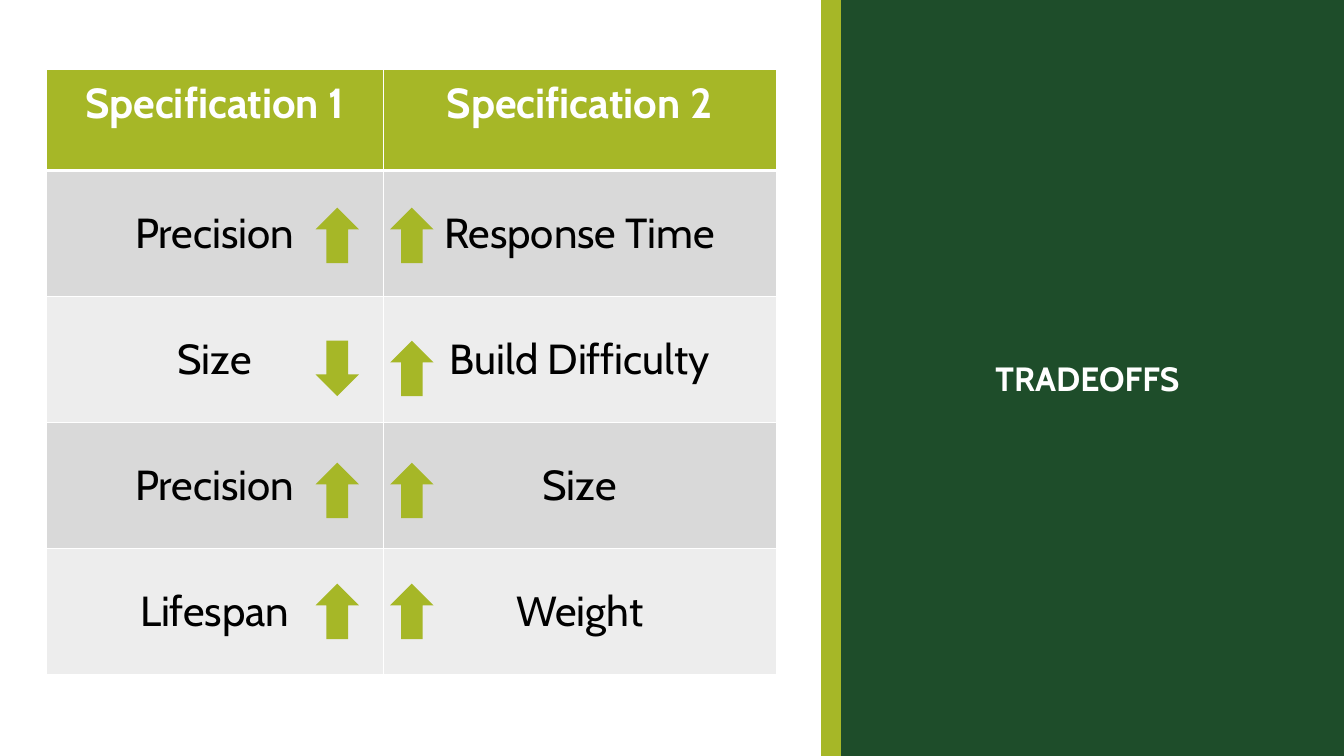
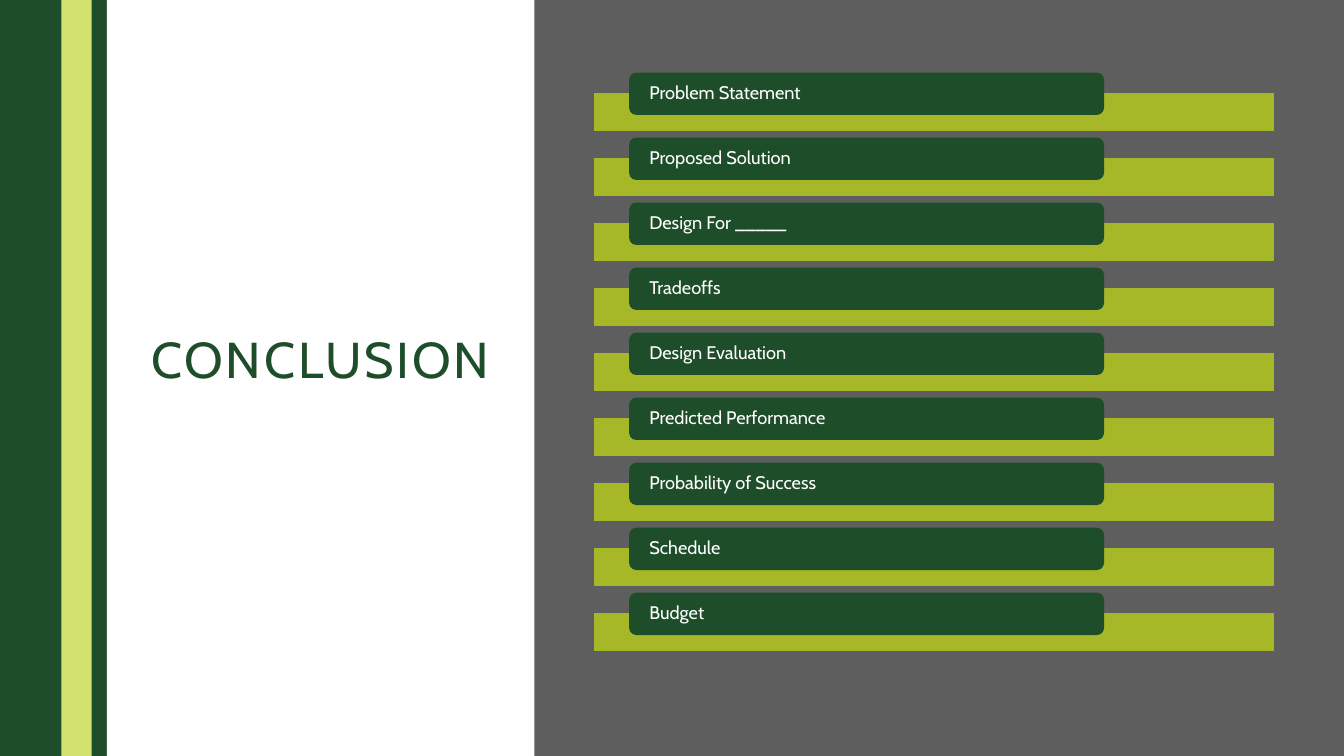
"""Build the tradeoffs table slide and the conclusion agenda slide."""
from dataclasses import dataclass

from lxml import etree
from pptx import Presentation
from pptx.dml.color import RGBColor
from pptx.enum import shapes, text
from pptx.oxml import ns
from pptx.util import Inches, Pt


@dataclass(frozen=True)
class Theme:
    font: str = "Cabin"
    forest: str = "1E4D2A"
    olive: str = "A6B727"
    lime: str = "D3E171"
    white: str = "FFFFFF"
    black: str = "000000"
    slate: str = "5E5E5E"
    stripes: tuple = ("D9D9D9", "EDEDED")
    conclusion_size: int = 36
    table_size: int = 30
    panel_size: int = 24
    topic_size: int = 13


THEME = Theme()
SHAPE = shapes.MSO_SHAPE
LEFT, CENTER = text.PP_ALIGN.LEFT, text.PP_ALIGN.CENTER
TOP, MIDDLE = text.MSO_ANCHOR.TOP, text.MSO_ANCHOR.MIDDLE
WIDTH, HEIGHT = 13.33, 7.5

HEADERS = ("Specification 1", "Specification 2")
TRADEOFFS = [
    ("Precision", SHAPE.UP_ARROW, "Response Time", SHAPE.UP_ARROW, 2.06),
    ("Size", SHAPE.DOWN_ARROW, "Build Difficulty", SHAPE.UP_ARROW, 3.38),
    ("Precision", SHAPE.UP_ARROW, "Size", SHAPE.UP_ARROW, 4.59),
    ("Lifespan", SHAPE.UP_ARROW, "Weight", SHAPE.UP_ARROW, 5.79),
]
COLUMN_WIDTHS = (3.34, 3.9)
HEADER_HEIGHT, ROW_HEIGHT = 1, 1.25
ARROW_LEFTS = (3.13, 3.87)

TOPICS = [
    "Problem Statement",
    "Proposed Solution",
    "Design For _____",
    "Tradeoffs",
    "Design Evaluation",
    "Predicted Performance",
    "Probability of Success",
    "Schedule",
    "Budget",
]
FIRST_TOPIC, LAST_TOPIC = 0.72, 5.88
BAR_DROP = 0.21


def color(code):
    return RGBColor.from_string(code)


def paint(target, code):
    target.fill.solid()
    target.fill.fore_color.rgb = color(code)


def write(frame, words, size, code, bold=False, align=CENTER):
    frame.text = words
    para = frame.paragraphs[0]
    para.alignment = align
    para.font.name = THEME.font
    para.font.size = Pt(size)
    para.font.bold = bold
    para.font.color.rgb = color(code)
    return para


def add_block(page, kind, left, top, width, height, fill, line=0):
    block = page.shapes.add_shape(
        kind, Inches(left), Inches(top), Inches(width), Inches(height))
    block.shadow.inherit = False
    paint(block, fill)
    if line:
        block.line.color.rgb = color(fill)
        block.line.width = Pt(line)
    else:
        block.line.fill.background()
    return block


def add_page(deck, background):
    page = deck.slides.add_slide(deck.slide_layouts[5])
    paint(page.background, background)
    return page


def place_title(page, words, left, top, width, height, size, code, bold=False):
    title = page.shapes.title
    title.left, title.top = Inches(left), Inches(top)
    title.width, title.height = Inches(width), Inches(height)
    frame = title.text_frame
    frame.word_wrap = True
    frame.auto_size = text.MSO_AUTO_SIZE.NONE
    frame.vertical_anchor = MIDDLE
    write(frame, words, size, code, bold)
    page.shapes._spTree.append(title._element)
    return title


def add_borders(cell, **widths):
    properties = cell._tc.get_or_add_tcPr()
    for side in "LRTB":
        line = etree.SubElement(properties, ns.qn(f"a:ln{side}"),
                                w=str(Pt(widths.get(side, 1))))
        fill = etree.SubElement(line, ns.qn("a:solidFill"))
        etree.SubElement(fill, ns.qn("a:srgbClr"), val=THEME.white)


def fill_cell(cell, words, fill, code, bold, anchor):
    cell.margin_left = cell.margin_right = Inches(0.16)
    cell.margin_top = cell.margin_bottom = Inches(0.08)
    cell.vertical_anchor = anchor
    write(cell.text_frame, words, THEME.table_size, code, bold)
    paint(cell, fill)


def add_tradeoff_table(page):
    heights = [HEADER_HEIGHT] + [ROW_HEIGHT] * len(TRADEOFFS)
    table = page.shapes.add_table(
        len(heights), len(COLUMN_WIDTHS), Inches(0.46), Inches(0.69),
        Inches(sum(COLUMN_WIDTHS)), Inches(sum(heights))).table
    for column, width in zip(table.columns, COLUMN_WIDTHS):
        column.width = Inches(width)
    for row, height in zip(table.rows, heights):
        row.height = Inches(height)
    for index, words in enumerate(HEADERS):
        cell = table.cell(0, index)
        add_borders(cell, B=3)
        fill_cell(cell, words, THEME.olive, THEME.white, True, TOP)
    for number, (first, _, second, _, _) in enumerate(TRADEOFFS):
        stripe = THEME.stripes[number % 2]
        for index, words in enumerate((first, second)):
            cell = table.cell(number + 1, index)
            add_borders(cell, T=1 if number else 3)
            fill_cell(cell, words, stripe, THEME.black, False, MIDDLE)


def build_tradeoffs(deck):
    page = add_page(deck, THEME.white)
    add_tradeoff_table(page)
    panel = place_title(page, "TRADEOFFS", 8.24, 0, WIDTH - 8.24, HEIGHT,
                        THEME.panel_size, THEME.white, bold=True)
    paint(panel, THEME.forest)
    add_block(page, SHAPE.RECTANGLE, 8.15, 0, 0.18, HEIGHT, THEME.olive, line=1)
    for _, first, _, second, top in TRADEOFFS:
        for left, arrow in zip(ARROW_LEFTS, (first, second)):
            add_block(page, arrow, left, top, 0.43, 0.55, THEME.olive)


def build_conclusion(deck):
    page = add_page(deck, THEME.slate)
    for left, width, fill in ((0, 1.06, THEME.forest), (1.06, 4.24, THEME.white),
                              (0.61, 0.3, THEME.lime)):
        add_block(page, SHAPE.RECTANGLE, left, 0, width, HEIGHT, fill)
    title = place_title(page, "CONCLUSION", 1.06, 2.77, 4.24, 1.64,
                        THEME.conclusion_size, THEME.forest)
    frame = title.text_frame
    frame.margin_left = frame.margin_right = Inches(0.2)
    frame.margin_top = frame.margin_bottom = Inches(0.2)
    para = frame.paragraphs[0]
    para.line_spacing = 0.9
    para.runs[0].font._element.set("spc", "200")

    pitch = (LAST_TOPIC - FIRST_TOPIC) / (len(TOPICS) - 1)
    for index, words in enumerate(TOPICS):
        top = FIRST_TOPIC + index * pitch
        add_block(page, SHAPE.RECTANGLE, 5.9, top + BAR_DROP, 6.73, 0.36,
                  THEME.olive, line=0.5)
        pill = add_block(page, SHAPE.ROUNDED_RECTANGLE, 6.24, top, 4.71, 0.42,
                         THEME.forest)
        frame = pill.text_frame
        frame.word_wrap = True
        frame.vertical_anchor = MIDDLE
        frame.margin_left = frame.margin_right = Inches(0.18)
        frame.margin_top = frame.margin_bottom = 0
        para = write(frame, words, THEME.topic_size, THEME.white, align=LEFT)
        para.line_spacing = 0.9


def main():
    deck = Presentation()
    deck.slide_width, deck.slide_height = Inches(WIDTH), Inches(HEIGHT)
    build_tradeoffs(deck)
    build_conclusion(deck)
    deck.save("out.pptx")


if __name__ == "__main__":
    main()
